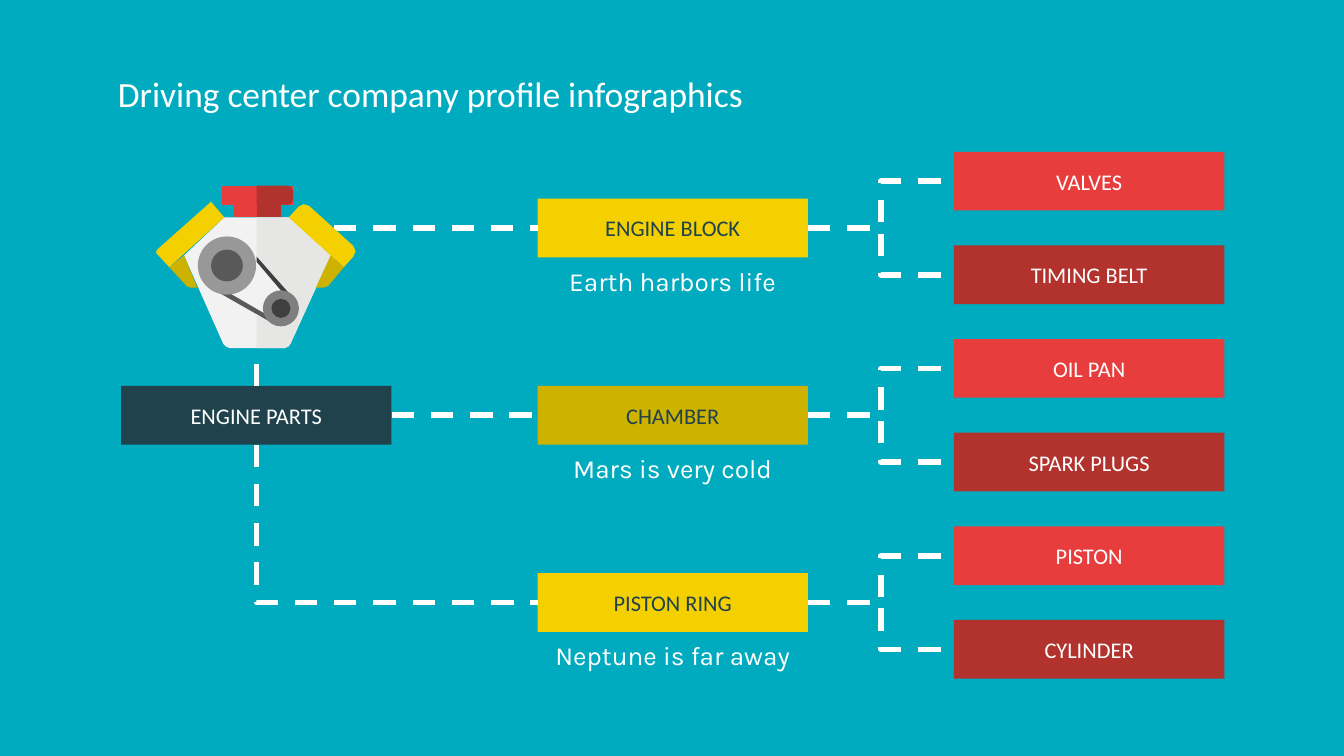
from dataclasses import dataclass

from lxml.etree import SubElement
from pptx import Presentation
from pptx.dml.color import RGBColor
from pptx.enum.dml import MSO_LINE
from pptx.enum.shapes import MSO_CONNECTOR, MSO_SHAPE
from pptx.enum.text import MSO_ANCHOR, MSO_AUTO_SIZE, PP_ALIGN
from pptx.oxml.ns import qn
from pptx.util import Cm, Pt


@dataclass(frozen=True)
class Theme:
    background: str = "00ABBF"
    white: str = "FFFFFF"
    navy: str = "1F424C"
    red: str = "E83D3D"
    dark_red: str = "B2322E"
    yellow: str = "F4D000"
    dark_yellow: str = "CEB200"
    body_light: str = "F2F2F2"
    body_shade: str = "E6E6E5"
    pulley: str = "989898"
    small_pulley: str = "807F7F"
    belt: str = "5A5959"
    dark_belt: str = "3F3F3F"
    heading_font: str = "Calibri"
    caption_font: str = "Karla"
    title_size: int = 19
    box_size: int = 12
    caption_size: int = 14


THEME = Theme()

# Diagram grid, in cm
BOX_W, BOX_H = 5.11, 1.11
CAPTION_H = 0.89
ROOT_X, BRANCH_X, LEAF_X = 2.29, 10.16, 18.03
FIRST_ROW, ROW_STEP = 2.87, 1.77
TOP, LEFT, BOTTOM, RIGHT = range(4)

FRAME = {
    "margin_left": Cm(0.25), "margin_right": Cm(0.25),
    "margin_top": Cm(0.25), "margin_bottom": Cm(0.25),
    "word_wrap": True, "auto_size": MSO_AUTO_SIZE.NONE,
}

BRANCHES = [
    ("ENGINE BLOCK", "Earth harbors life", THEME.yellow, ("VALVES", "TIMING BELT")),
    ("CHAMBER", "Mars is very cold", THEME.dark_yellow, ("OIL PAN", "SPARK PLUGS")),
    ("PISTON RING", "Neptune is far away", THEME.yellow, ("PISTON", "CYLINDER")),
]

# Engine outlines from back to front: colour and corner points in cm
BODY_RIGHT = [(5.38, 6.58), (5.45, 6.55), (5.49, 6.5), (6.25, 4.83), (5.46, 4.11)]
ENGINE_OUTLINES = [
    # Body, neck and cap
    (THEME.body_light, [(4.24, 4.11), (3.48, 4.83), (4.22, 6.5), (4.27, 6.55),
                        (4.34, 6.58), *BODY_RIGHT]),
    (THEME.red, [(4.42, 3.86), (4.42, 4.11), (5.31, 4.11), (5.31, 3.86)]),
    (THEME.red, [(4.19, 3.51), (4.19, 3.87), (5.54, 3.87), (5.54, 3.51)]),
    # Lower belt and left cylinder head
    (THEME.belt, [(4.06, 5.38), (4.01, 5.46), (5.08, 6.07), (5.11, 5.99)]),
    (THEME.yellow, [(3.99, 3.81), (3.96, 3.84), (2.97, 4.72), (2.95, 4.78),
                    (3.2, 5.05), (4.24, 4.11), (4.01, 3.84)]),
    (THEME.dark_yellow, [(3.48, 4.83), (3.2, 5.05), (3.53, 5.41),
                         (3.61, 5.44), (3.73, 5.44)]),
    # Shaded right half
    (THEME.body_shade, [(4.85, 4.11), (4.85, 4.85), (5.46, 5.54), (5.31, 6.17),
                        (5.05, 6.07), (4.85, 5.94), (4.85, 6.58), *BODY_RIGHT]),
    (THEME.dark_red, [(4.85, 3.86), (4.85, 4.11), (5.31, 4.11), (5.31, 3.86)]),
    (THEME.dark_red, [(4.85, 3.51), (4.85, 3.87), (5.44, 3.87), (5.51, 3.84),
                      (5.54, 3.76), (5.54, 3.61), (5.51, 3.54), (5.44, 3.51)]),
    # Upper belt and right cylinder head
    (THEME.dark_belt, [(4.85, 4.85), (4.85, 4.95), (5.31, 5.49), (5.46, 5.54)]),
    (THEME.yellow, [(5.74, 3.86), (5.64, 3.91), (5.46, 4.11), (6.25, 4.83),
                    (6.5, 5.05), (6.68, 4.85), (6.72, 4.75), (6.68, 4.65), (5.84, 3.89)]),
    (THEME.dark_yellow, [(6.25, 4.83), (5.97, 5.44), (6.1, 5.44),
                         (6.2, 5.41), (6.5, 5.05)]),
]

# Pulley discs: colour, centre and radius in cm
PULLEY_DISCS = [
    (THEME.pulley, 4.29, 5.02, 0.55),
    (THEME.belt, 4.29, 5.02, 0.3),
    (THEME.small_pulley, 5.31, 5.83, 0.34),
    (THEME.dark_belt, 5.31, 5.83, 0.18),
]


def row_top(row):
    return FIRST_ROW + row * ROW_STEP


def write(shape, text, font, size, color, align=PP_ALIGN.CENTER, anchor=MSO_ANCHOR.MIDDLE):
    frame = shape.text_frame
    for name, value in {**FRAME, "vertical_anchor": anchor}.items():
        setattr(frame, name, value)
    paragraph = frame.paragraphs[0]
    paragraph.alignment = align
    run = paragraph.add_run()
    run.text = text
    for name, value in {"name": font, "size": Pt(size), "bold": False}.items():
        setattr(run.font, name, value)
    run.font.color.rgb = RGBColor.from_string(color)


def paint(shape, color):
    shape.shadow.inherit = False
    shape.fill.solid()
    shape.fill.fore_color.rgb = RGBColor.from_string(color)
    shape.line.fill.background()
    return shape


def add_title(slide, text):
    title = slide.shapes.title
    place = {"left": Cm(1.98), "top": Cm(1.12), "width": Cm(21.44), "height": Cm(1.6)}
    for name, value in place.items():
        setattr(title, name, value)
    write(title, text, THEME.heading_font, THEME.title_size, THEME.white,
          PP_ALIGN.LEFT, MSO_ANCHOR.TOP)


def add_box(slide, left, row, text, fill, color=THEME.white):
    box = slide.shapes.add_shape(
        MSO_SHAPE.RECTANGLE, Cm(left), Cm(row_top(row)), Cm(BOX_W), Cm(BOX_H))
    write(paint(box, fill), text, THEME.heading_font, THEME.box_size, color)
    return box


def add_caption(slide, row, text):
    caption = slide.shapes.add_textbox(
        Cm(BRANCH_X), Cm(row_top(row) + BOX_H), Cm(BOX_W), Cm(CAPTION_H))
    write(caption, text, THEME.caption_font, THEME.caption_size, THEME.white)


def add_dashed(slide, kind, *ends):
    link = slide.shapes.add_connector(kind, *ends)
    link.line.color.rgb = RGBColor.from_string(THEME.white)
    link.line.width = Pt(3)
    link.line.dash_style = MSO_LINE.DASH
    SubElement(link._element.spPr, qn("a:effectLst"))
    return link


def join_sides(slide, source, target, kind=MSO_CONNECTOR.ELBOW):
    link = add_dashed(slide, kind, 0, 0, 0, 0)
    link.begin_connect(source, RIGHT)
    link.end_connect(target, LEFT)


def join_corner(slide, source, site, target):
    """Leave the source vertically and turn once into the target's left side."""
    x0 = source.left + source.width // 2
    y0 = source.top + (source.height if site == BOTTOM else 0)
    x1, y1 = target.left, target.top + target.height // 2
    dx, dy = x1 - x0, y1 - y0
    mid_x, mid_y = (x0 + x1) // 2, (y0 + y1) // 2
    # The bend starts sideways, so it is laid out turned by 270 degrees
    link = add_dashed(slide, MSO_CONNECTOR.ELBOW, mid_x + dy // 2, mid_y - dx // 2,
                      mid_x - dy // 2, mid_y + dx // 2)
    properties = link._element.spPr
    properties.find(qn("a:prstGeom")).set("prst", "bentConnector2")
    properties.find(qn("a:xfrm")).set("rot", str(270 * 60000))


def add_engine(slide):
    parts = []
    for color, points in ENGINE_OUTLINES:
        start, *rest = [(Cm(x), Cm(y)) for x, y in points]
        outline = slide.shapes.build_freeform(*start)
        outline.add_line_segments(rest, close=True)
        parts.append(paint(outline.convert_to_shape(), color))
    for color, x, y, radius in PULLEY_DISCS:
        disc = slide.shapes.add_shape(MSO_SHAPE.OVAL, Cm(x - radius), Cm(y - radius),
                                      Cm(2 * radius), Cm(2 * radius))
        parts.append(paint(disc, color))
    slide.shapes.add_group_shape(parts)


def main():
    deck = Presentation()
    deck.slide_width, deck.slide_height = Cm(25.4), Cm(14.29)
    slide = deck.slides.add_slide(deck.slide_layouts[5])
    slide.background.fill.solid()
    slide.background.fill.fore_color.rgb = RGBColor.from_string(THEME.background)
    add_title(slide, "Driving center company profile infographics")

    # Tree of parts: each branch sits midway between its two leaves
    engine_parts = add_box(slide, ROOT_X, 2.5, "ENGINE PARTS", THEME.navy)
    branch_boxes = []
    for index, (name, caption, fill, leaves) in enumerate(BRANCHES):
        row = 2 * index + 0.5
        branch = add_box(slide, BRANCH_X, row, name, fill, THEME.navy)
        branch_boxes.append(branch)
        add_caption(slide, row, caption)
        for offset, (leaf, color) in enumerate(zip(leaves, (THEME.red, THEME.dark_red))):
            leaf_box = add_box(slide, LEAF_X, 2 * index + offset, leaf, color)
            join_sides(slide, branch, leaf_box)

    # Links from the root to the branches
    engine_block, chamber, piston_ring = branch_boxes
    join_corner(slide, engine_parts, TOP, engine_block)
    join_sides(slide, engine_parts, chamber, MSO_CONNECTOR.STRAIGHT)
    join_corner(slide, engine_parts, BOTTOM, piston_ring)

    add_engine(slide)
    deck.save("out.pptx")


if __name__ == "__main__":
    main()
